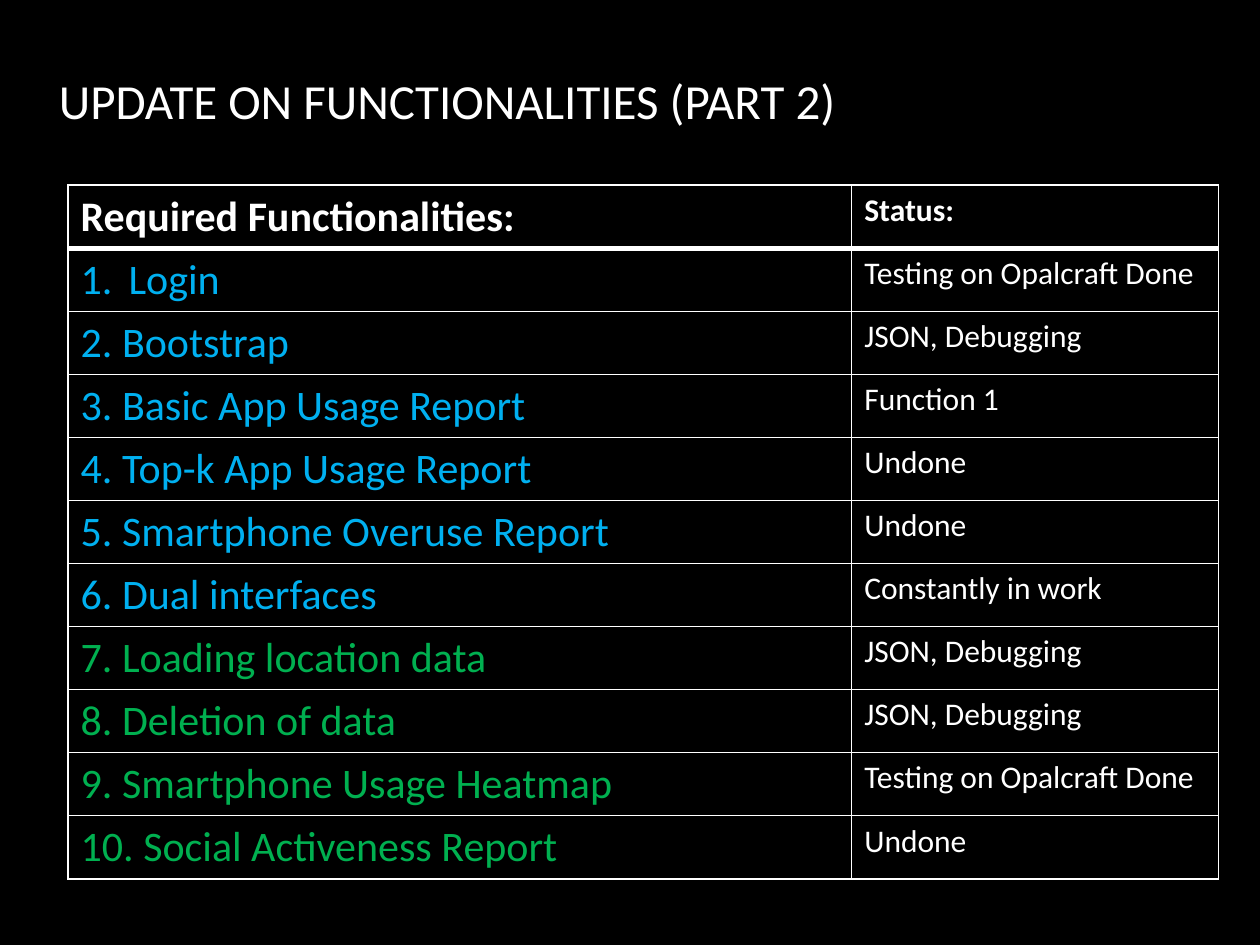
from dataclasses import dataclass

from lxml.etree import SubElement
from pptx import Presentation
from pptx.dml.color import RGBColor
from pptx.enum.text import MSO_ANCHOR
from pptx.oxml.ns import qn
from pptx.util import Inches, Pt


@dataclass(frozen=True)
class Theme:
    font: str = "Calibri"
    background: str = "000000"
    text: str = "FFFFFF"
    first_group: str = "00B0F0"
    second_group: str = "00B050"
    title_size: int = 28
    item_size: int = 24
    status_size: int = 18
    thin_border: int = 1
    header_rule: int = 3


THEME = Theme()
FIRST_GROUP_COUNT = 6
HEADERS = ("Required Functionalities:", "Status:")
FUNCTIONALITIES = [
    ("Login", "Testing on Opalcraft Done"),
    ("2. Bootstrap", "JSON, Debugging"),
    ("3. Basic App Usage Report", "Function 1"),
    ("4. Top-k App Usage Report", "Undone"),
    ("5. Smartphone Overuse Report", "Undone"),
    ("6. Dual interfaces", "Constantly in work"),
    ("7. Loading location data", "JSON, Debugging"),
    ("8. Deletion of data", "JSON, Debugging"),
    ("9. Smartphone Usage Heatmap", "Testing on Opalcraft Done"),
    ("10. Social Activeness Report", "Undone"),
]


def add_text(paragraph, text, size, color=THEME.text, bold=False):
    run = paragraph.add_run()
    run.text = text
    run.font.name = THEME.font
    run.font.size = Pt(size)
    run.font.bold = bold
    run.font.color.rgb = RGBColor.from_string(color)


def number_paragraph(paragraph):
    """Turn the paragraph into an automatically numbered list item."""
    properties = paragraph._p.get_or_add_pPr()
    properties.set("marL", str(Inches(0.38)))
    properties.set("indent", str(Inches(-0.38)))
    SubElement(properties, qn("a:buFont"), typeface="+mj-lt")
    SubElement(properties, qn("a:buAutoNum"), type="arabicPeriod")


def style_cell(cell, top, bottom):
    """Fill the cell and draw its borders; top and bottom are widths in points."""
    properties = cell._tc.get_or_add_tcPr()
    widths = {"L": THEME.thin_border, "R": THEME.thin_border, "T": top, "B": bottom}
    for side, width in widths.items():
        line = SubElement(properties, qn(f"a:ln{side}"), w=str(Pt(width)))
        fill = SubElement(line, qn("a:solidFill"))
        SubElement(fill, qn("a:srgbClr"), val=THEME.text)
    cell.fill.solid()
    cell.fill.fore_color.rgb = RGBColor.from_string(THEME.background)


def add_title(slide, left, top, width, height):
    frame = slide.shapes.add_textbox(left, top, width, height).text_frame
    frame.word_wrap = True
    frame.vertical_anchor = MSO_ANCHOR.MIDDLE
    add_text(frame.paragraphs[0], "UPDATE ON FUNCTIONALITIES (PART 2)", THEME.title_size)


def add_status_table(slide, left, top, width, height):
    rows = [HEADERS, *FUNCTIONALITIES]
    table = slide.shapes.add_table(len(rows), 2, left, top, width, height).table
    status_width = Inches(2.91)
    table.columns[0].width = width - status_width
    table.columns[1].width = status_width

    for index, (item, status) in enumerate(rows):
        is_header = index == 0
        if is_header:
            item_color = THEME.text
        elif index <= FIRST_GROUP_COUNT:
            item_color = THEME.first_group
        else:
            item_color = THEME.second_group
        item_cell, status_cell = table.cell(index, 0), table.cell(index, 1)
        for cell in (item_cell, status_cell):
            style_cell(
                cell,
                top=THEME.header_rule if index == 1 else THEME.thin_border,
                bottom=THEME.header_rule if is_header else THEME.thin_border,
            )
        item_paragraph = item_cell.text_frame.paragraphs[0]
        if index == 1:
            number_paragraph(item_paragraph)
        add_text(item_paragraph, item, THEME.item_size, item_color, is_header)
        add_text(status_cell.text_frame.paragraphs[0], status,
                 THEME.status_size, bold=is_header)


def main():
    presentation = Presentation()
    presentation.slide_width = Inches(10)
    presentation.slide_height = Inches(7.5)
    slide = presentation.slides.add_slide(presentation.slide_layouts[6])
    slide.background.fill.solid()
    slide.background.fill.fore_color.rgb = RGBColor.from_string(THEME.background)
    add_title(slide, Inches(0.37), Inches(0), Inches(8.5), Inches(1.59))
    add_status_table(slide, Inches(0.54), Inches(1.47), Inches(9.13), Inches(5.5))
    presentation.save("out.pptx")


if __name__ == "__main__":
    main()
